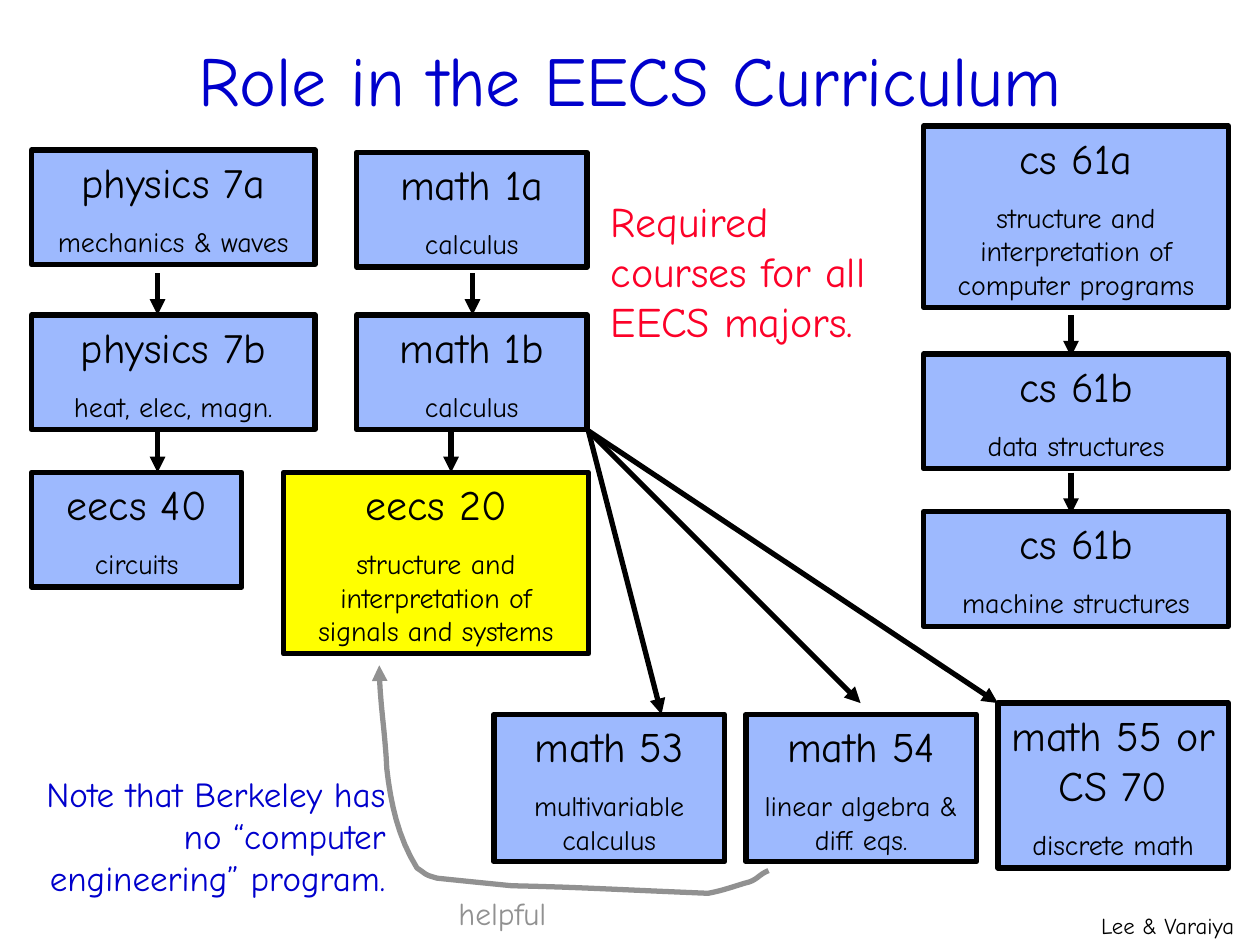
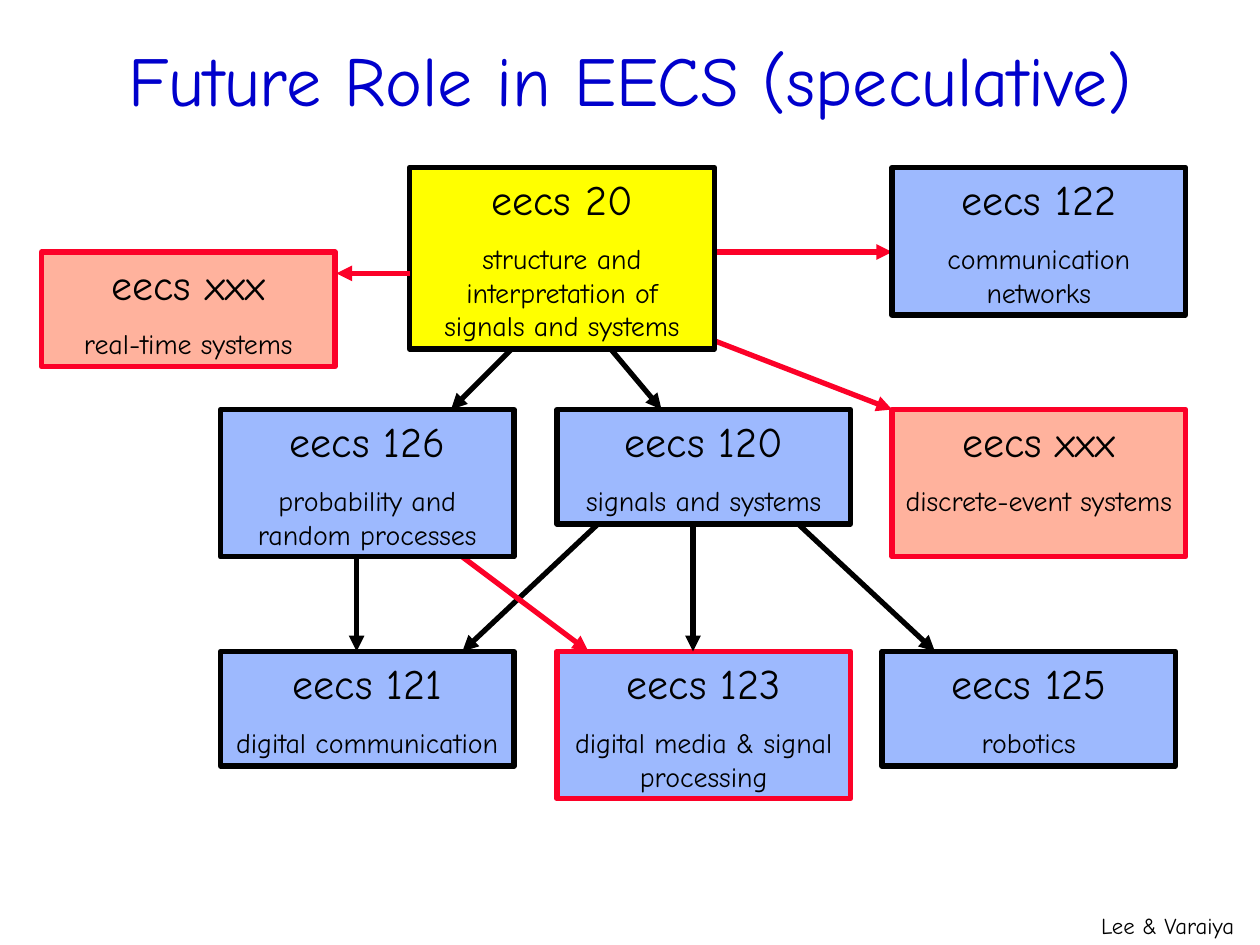
"""Build two slides that place eecs 20 in the present and future EECS curriculum."""
from lxml.etree import SubElement
from pptx import Presentation
from pptx.dml.color import RGBColor
from pptx.enum.shapes import MSO_CONNECTOR, MSO_SHAPE
from pptx.enum.text import MSO_ANCHOR, MSO_AUTO_SIZE, PP_ALIGN
from pptx.oxml.ns import qn
from pptx.util import Inches, Pt

BLACK = RGBColor(0x00, 0x00, 0x00)
BLUE = RGBColor(0x00, 0x00, 0xCC)
RED = RGBColor(0xFC, 0x01, 0x28)
GRAY = RGBColor(0x91, 0x91, 0x91)
SKY = RGBColor(0x9D, 0xB9, 0xFE)
YELLOW = RGBColor(0xFF, 0xFF, 0x00)
SALMON = RGBColor(0xFF, 0xB2, 0x9D)
FONT = "Comic Neue"
LINE_WIDTH = Pt(3)
SIGNALS = "structure and interpretation of signals and systems"


def write(frame, lines, color, align, wrap=True, anchor=MSO_ANCHOR.TOP):
    frame.auto_size = MSO_AUTO_SIZE.NONE
    frame.word_wrap = wrap
    frame.vertical_anchor = anchor
    frame.margin_left = frame.margin_right = Inches(0.1)
    frame.margin_top = frame.margin_bottom = Inches(0.05)
    for index, (text, size) in enumerate(lines):
        para = frame.add_paragraph() if index else frame.paragraphs[0]
        para.alignment = align
        para.space_before = Pt(10 if index else 0)
        span = para.add_run()
        span.text = text
        span.font.name = FONT
        span.font.size = Pt(size)
        span.font.color.rgb = color


def draw_arrow(shape, color):
    shape.line.color.rgb = color
    shape.line.width = LINE_WIDTH
    properties = shape._element.spPr
    SubElement(properties.find(qn("a:ln")), qn("a:tailEnd"), type="triangle")
    SubElement(properties, qn("a:effectLst"))


# Each layer holds arrows (x1, y1, x2, y2, color), then the courses above them
# (name, topic, left, top, width, height, fill, outline).
current_layers = [
    ([(8.5, 2.5, 8.5, 2.83, BLACK), (8.5, 3.75, 8.5, 4.08, BLACK)], [
        ("eecs 20", SIGNALS, 2.25, 3.75, 2.42, 1.44, YELLOW, BLACK),
        ("eecs 40", "circuits", 0.25, 3.75, 1.67, 0.91, SKY, BLACK),
        ("cs 61a", "structure and interpretation of computer programs",
         7.33, 1, 2.42, 1.44, SKY, BLACK),
        ("cs 61b", "data structures", 7.33, 2.81, 2.42, 0.91, SKY, BLACK),
        ("cs 61b", "machine structures", 7.33, 4.06, 2.42, 0.91, SKY, BLACK),
        ("math 55 or CS 70", "discrete math", 7.92, 5.58, 1.83, 1.31, SKY, BLACK),
        ("math 53", "multivariable calculus", 3.92, 5.67, 1.83, 1.17, SKY, BLACK),
        ("math 54", "linear algebra & diff. eqs.", 5.92, 5.67, 1.83, 1.17, SKY, BLACK),
        ("math 1a", "calculus", 2.83, 1.21, 1.83, 0.91, SKY, BLACK),
        ("math 1b", "calculus", 2.83, 2.5, 1.83, 0.91, SKY, BLACK),
        ("physics 7a", "mechanics & waves", 0.25, 1.19, 2.25, 0.91, SKY, BLACK),
        ("physics 7b", "heat, elec, magn.", 0.25, 2.5, 2.25, 0.91, SKY, BLACK),
    ]),
    ([
        (4.67, 3.42, 5.25, 5.67, BLACK),
        (4.67, 3.42, 6.83, 5.58, BLACK),
        (4.67, 3.42, 7.92, 5.58, BLACK),
        (3.75, 2.17, 3.75, 2.5, BLACK),
        (1.25, 2.17, 1.25, 2.5, BLACK),
        (1.25, 3.42, 1.25, 3.75, BLACK),
        (3.58, 3.42, 3.58, 3.75, BLACK),
    ], []),
]
future_layers = [
    ([
        (5.58, 2, 7.08, 2, RED),
        (5.58, 2.67, 7.08, 3.25, RED),
        (4.08, 2.75, 3.58, 3.25, BLACK),
        (4.83, 2.75, 5.25, 3.25, BLACK),
        (6.25, 4.08, 7.42, 5.17, BLACK),
        (2.83, 4.42, 2.83, 5.17, BLACK),
    ], [
        ("eecs 20", SIGNALS, 3.25, 1.33, 2.42, 1.44, YELLOW, BLACK),
        ("eecs 121", "digital communication", 1.75, 5.17, 2.33, 0.91, SKY, BLACK),
        ("eecs 123", "digital media & signal processing",
         4.42, 5.17, 2.33, 1.17, SKY, RED),
    ]),
    ([
        (4.83, 4.08, 3.67, 5.17, BLACK),
        (5.5, 4.08, 5.5, 5.17, BLACK),
        (3.67, 4.42, 4.67, 5.17, RED),
    ], [
        ("eecs 120", "signals and systems", 4.42, 3.25, 2.33, 0.91, SKY, BLACK),
        ("eecs 126", "probability and random processes",
         1.75, 3.25, 2.33, 1.17, SKY, BLACK),
        ("eecs 122", "communication networks", 7.08, 1.33, 2.33, 1.17, SKY, BLACK),
        ("eecs 125", "robotics", 7, 5.17, 2.33, 0.91, SKY, BLACK),
        ("eecs xxx", "discrete-event systems", 7.08, 3.25, 2.33, 1.17, SALMON, RED),
        ("eecs xxx", "real-time systems", 0.33, 2, 2.33, 0.91, SALMON, RED),
    ]),
    ([(3.25, 2.17, 2.67, 2.17, RED)], []),
]
footer = ("Lee & Varaiya", 13, BLACK, PP_ALIGN.LEFT, False, 8.64, 7.19, 1.32, 0.31)
current_notes = [
    footer,
    ("Required courses for all EECS majors.", 24, RED, PP_ALIGN.LEFT, True,
     4.75, 1.5, 2.52, 1.3),
    ("helpful", 18, GRAY, PP_ALIGN.LEFT, False, 3.54, 7.05, 0.9, 0.4),
    ("Note that Berkeley has no “computer engineering” program.", 20, BLUE,
     PP_ALIGN.RIGHT, True, 0, 6.08, 3.16, 1.1),
]

deck = Presentation()
deck.slide_width = Inches(10)
deck.slide_height = Inches(7.5)
pages = []
for heading, margin, layers, notes in [
    ("Role in the EECS Curriculum", 0.75, current_layers, current_notes),
    ("Future Role in EECS (speculative)", 0.33, future_layers, [footer]),
]:
    page = deck.slides.add_slide(deck.slide_layouts[5])
    pages.append(page)
    title = page.shapes.title
    title.left, title.top = Inches(margin), Inches(0)
    title.width, title.height = Inches(10 - 2 * margin), Inches(1.25)
    write(title.text_frame, [(heading, 40)], BLUE, PP_ALIGN.CENTER,
          anchor=MSO_ANCHOR.MIDDLE)

    for arrows, courses in layers:
        for *ends, color in arrows:
            arrow = page.shapes.add_connector(MSO_CONNECTOR.STRAIGHT, *map(Inches, ends))
            draw_arrow(arrow, color)
        for name, topic, *bounds, fill, outline in courses:
            box = page.shapes.add_shape(MSO_SHAPE.RECTANGLE, *map(Inches, bounds))
            box.shadow.inherit = False
            box.fill.solid()
            box.fill.fore_color.rgb = fill
            box.line.color.rgb = outline
            box.line.width = LINE_WIDTH
            write(box.text_frame, [(name, 24), (topic, 16)], BLACK, PP_ALIGN.CENTER)

    for text, size, color, align, wrap, *bounds in notes:
        note = page.shapes.add_textbox(*map(Inches, bounds))
        write(note.text_frame, [(text, size)], color, align, wrap)

helpful_start = (6.1, 6.91)
helpful_curves = [
    ((6.02, 6.94), (6.01, 6.99), (5.91, 7.01)),
    ((5.81, 7.04), (5.73, 7.07), (5.62, 7.09)),
    ((5.1, 7.07), (4.58, 7.04), (4.06, 7.03)),
    ((3.86, 7.01), (3.66, 6.99), (3.47, 6.97)),
    ((3.36, 6.94), (3.39, 6.94), (3.31, 6.89)),
    ((3.16, 6.65), (3.1, 6.37), (3.07, 6.1)),
    ((3.06, 5.83), (3.01, 5.55), (3.01, 5.28)),
]
STEPS = 8
points = []
start = helpful_start
for first, second, end in helpful_curves:
    for step in range(1, STEPS + 1):
        t = step / STEPS
        weights = ((1 - t) ** 3, 3 * t * (1 - t) ** 2, 3 * t ** 2 * (1 - t), t ** 3)
        points.append(tuple(
            Inches(sum(weight * value for weight, value in zip(weights, values)))
            for values in zip(start, first, second, end)))
    start = end
builder = pages[0].shapes.build_freeform(*map(Inches, helpful_start))
builder.add_line_segments(points, close=False)
helpful_arrow = builder.convert_to_shape()
helpful_arrow.fill.background()
draw_arrow(helpful_arrow, GRAY)

deck.save("out.pptx")
